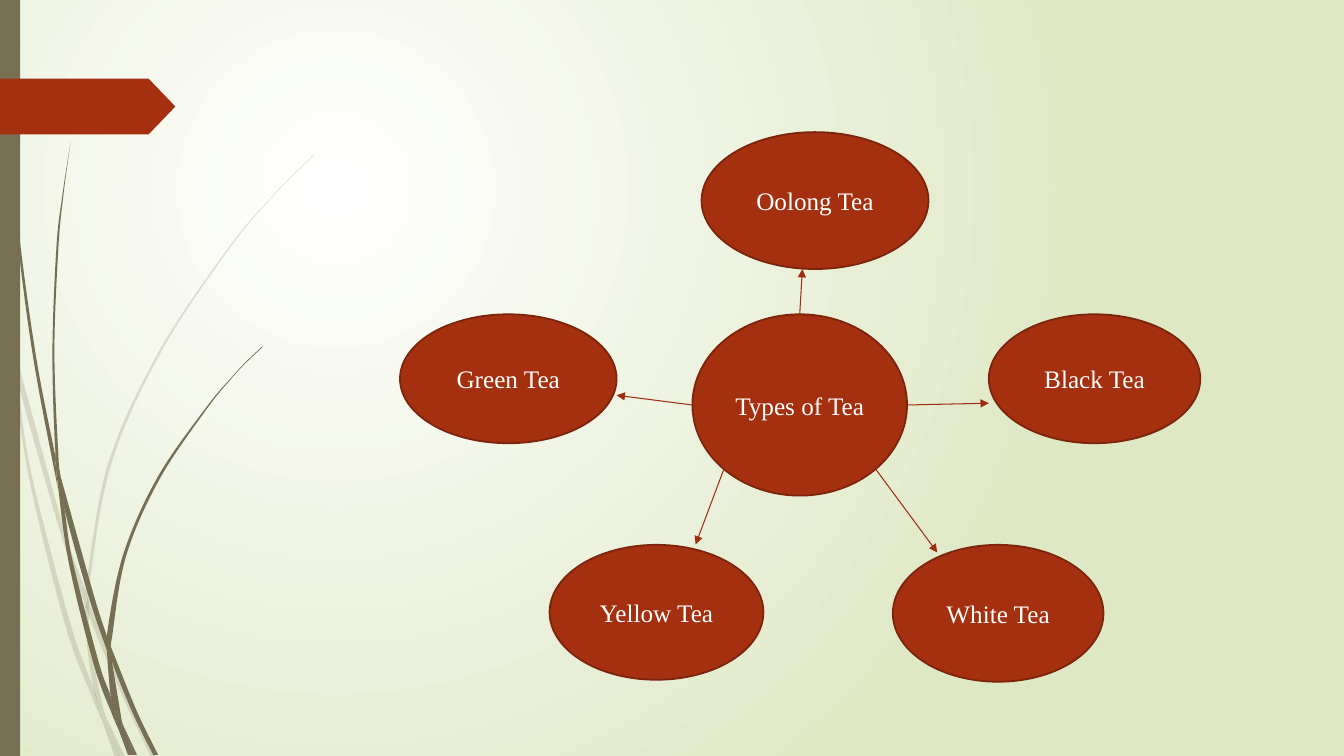
from dataclasses import dataclass
from math import cos, radians, sin

from lxml.etree import SubElement
from pptx import Presentation
from pptx.dml.color import RGBColor
from pptx.enum.shapes import MSO_CONNECTOR, MSO_SHAPE
from pptx.enum.text import MSO_ANCHOR, PP_ALIGN
from pptx.oxml import parse_xml
from pptx.oxml.ns import nsdecls, qn
from pptx.util import Cm, Pt

RUST = RGBColor(0xA5, 0x30, 0x10)
RUST_EDGE = RGBColor(0x7A, 0x24, 0x0C)
ARROW = RGBColor(0x9E, 0x2E, 0x0F)
OLIVE = RGBColor(0x76, 0x6F, 0x54)
WHITE = RGBColor(0xFF, 0xFF, 0xFF)
PALE_GREEN = RGBColor(0xDF, 0xE8, 0xC4)
GRASS_UNIT = Cm(2.54) / 100

Side = list[tuple[int, int]]


@dataclass
class Bubble:
    text: str
    left: float
    top: float
    width: float
    height: float


@dataclass
class Spoke:
    angle: int
    x: float
    y: float


@dataclass
class Blade:
    down: Side
    up: Side


HUB = Bubble("Types of Tea", 17.45, 7.92, 5.41, 4.57)
TEAS = [
    Bubble("Green Tea", 10.08, 7.92, 5.46, 3.25),
    Bubble("Oolong Tea", 17.68, 3.33, 5.72, 3.45),
    Bubble("Black Tea", 24.92, 7.92, 5.33, 3.25),
    Bubble("Yellow Tea", 13.85, 13.73, 5.39, 3.4),
    Bubble("White Tea", 22.5, 13.73, 5.31, 3.45),
]
SPOKES = [
    Spoke(180, 15.54, 9.96),
    Spoke(270, 20.22, 6.78),
    Spoke(0, 24.92, 10.16),
    Spoke(45, 23.62, 13.92),
    Spoke(135, 17.53, 13.72),
]
PALE_GRASS = [
    Blade([(0, 299), (10, 344), (11, 350)], [(11, 350), (9, 322), (0, 282)]),
    Blade([(14, 345), (17, 376), (58, 522), (84, 599)],
          [(85, 586), (62, 520), (14, 345)]),
    Blade([(88, 596), (88, 610), (123, 694), (150, 751)],
          [(155, 751), (127, 692), (92, 607), (88, 596)]),
    Blade([(105, 711), (119, 751)], [(124, 751), (105, 711)]),
    Blade([(11, 350), (28, 470), (65, 621), (92, 693), (101, 714)],
          [(99, 707), (93, 683), (70, 619), (31, 469), (17, 376), (11, 350)]),
    Blade([(84, 599), (87, 646), (93, 683), (96, 692), (105, 711)],
          [(103, 706), (91, 646), (88, 610), (88, 608), (84, 599)]),
    Blade([(312, 153), (289, 175), (268, 197), (228, 244), (158, 348),
           (107, 461), (85, 584), (85, 586), (88, 596)],
          [(88, 596), (88, 584), (110, 462), (160, 349), (229, 245),
           (268, 198), (290, 175), (312, 154)]),
    Blade([(101, 714), (114, 751)], [(119, 751), (101, 714)]),
    Blade([(85, 586), (84, 599), (88, 608)], [(88, 610), (88, 596), (85, 586)]),
    Blade([(93, 683), (99, 707), (101, 714), (119, 751)],
          [(119, 751), (105, 711), (96, 692), (93, 683)]),
]
DARK_GRASS = [
    Blade([(3, 0), (4, 48), (7, 110), (17, 233), (33, 355), (56, 477), (57, 481)],
          [(57, 481), (55, 457), (55, 453), (36, 355), (19, 232), (8, 109),
           (5, 48), (4, 0)]),
    Blade([(60, 472), (64, 505), (88, 592), (106, 645)],
          [(106, 633), (106, 631), (93, 590), (60, 472)]),
    Blade([(110, 641), (111, 656), (132, 708), (152, 749)],
          [(157, 749), (136, 706), (113, 649), (110, 641)]),
    Blade([(57, 477), (68, 557), (93, 659), (111, 708), (117, 722)],
          [(116, 717), (110, 691), (98, 657), (72, 556), (64, 505), (57, 477)]),
    Blade([(70, 141), (62, 193), (56, 245), (52, 349), (55, 449), (60, 472)],
          [(60, 472), (58, 453), (54, 349), (58, 245), (63, 193), (70, 141)]),
    Blade([(122, 719), (133, 749)], [(136, 749), (122, 719)]),
    Blade([(55, 449), (55, 453), (57, 477), (64, 505)],
          [(64, 505), (60, 472), (55, 449)]),
    Blade([(260, 344), (245, 358), (231, 373), (204, 405), (156, 474),
           (122, 551), (106, 631), (110, 641)],
          [(110, 641), (111, 633), (125, 552), (158, 476), (205, 406),
           (231, 374), (245, 359), (261, 344)]),
    Blade([(117, 722), (127, 749)], [(131, 749), (117, 722)]),
    Blade([(106, 645), (110, 691), (116, 706), (122, 719)],
          [(121, 716), (111, 656), (109, 651), (106, 645)]),
    Blade([(106, 631), (106, 645), (109, 651), (111, 656)],
          [(110, 641), (106, 631)]),
    Blade([(110, 691), (116, 717), (117, 722), (130, 749)],
          [(133, 749), (122, 719), (116, 706), (110, 691)]),
]


def set_background(slide) -> None:
    slide.element.cSld.insert(0, parse_xml(
        f'<p:bg {nsdecls("p", "a")}><p:bgPr><a:gradFill rotWithShape="1"><a:gsLst>'
        f'<a:gs pos="0"><a:srgbClr val="{WHITE}"/></a:gs>'
        f'<a:gs pos="100000"><a:srgbClr val="{PALE_GREEN}"/></a:gs></a:gsLst>'
        '<a:path path="circle">'
        '<a:fillToRect l="50000" t="50000" r="100000" b="100000"/></a:path>'
        '</a:gradFill><a:effectLst/></p:bgPr></p:bg>'))


def paint(sp, fill: RGBColor, edge: RGBColor | None = None) -> None:
    sp.shadow.inherit = False
    sp.fill.solid()
    sp.fill.fore_color.rgb = fill
    if edge is None:
        sp.line.fill.background()
    else:
        sp.line.color.rgb = edge
        sp.line.width = Pt(1.25)


def add_text(sp, text: str, *, size: float = 18, font: str = "Times New Roman",
             color: RGBColor = WHITE) -> None:
    tf = sp.text_frame
    tf.word_wrap = True
    tf.vertical_anchor = MSO_ANCHOR.MIDDLE
    p = tf.paragraphs[0]
    p.alignment = PP_ALIGN.CENTER
    r = p.add_run()
    r.text = text
    r.font.size = Pt(size)
    r.font.name = font
    r.font.color.rgb = color


def curve_side(sp, segments: list, side: Side) -> None:
    padded = [side[0], *side, side[-1]]
    for seg, a, b, c, d in zip(segments, padded, padded[1:], padded[2:], padded[3:]):
        first = [q + (r - p) / 6 for p, q, r in zip(a, b, c)]
        second = [q - (r - p) / 6 for p, q, r in zip(b, c, d)]
        seg.tag = qn("a:cubicBezTo")
        end = seg[0]
        for x, y in (first, second):
            pt = SubElement(seg, qn("a:pt"))
            pt.set("x", str(round(x * GRASS_UNIT - sp.left)))
            pt.set("y", str(round(y * GRASS_UNIT - sp.top)))
        seg.append(end)


def add_blade(slide, blade: Blade, opacity: int) -> None:
    outline = [(round(x * GRASS_UNIT), round(y * GRASS_UNIT))
               for x, y in blade.down + blade.up]
    builder = slide.shapes.build_freeform(*outline[0])
    builder.add_line_segments(outline[1:], close=True)
    sp = builder.convert_to_shape()
    paint(sp, OLIVE)
    segments = list(sp.element.spPr.iter(qn("a:lnTo")))
    curve_side(sp, segments, blade.down)
    curve_side(sp, segments[len(blade.down):], blade.up)
    if opacity < 100:
        color = sp.element.spPr.find(f"{qn('a:solidFill')}/{qn('a:srgbClr')}")
        SubElement(color, qn("a:alpha"), val=str(opacity * 1000))


def add_bubble(slide, b: Bubble) -> None:
    sp = slide.shapes.add_shape(
        MSO_SHAPE.OVAL, Cm(b.left), Cm(b.top), Cm(b.width), Cm(b.height))
    paint(sp, RUST, RUST_EDGE)
    add_text(sp, b.text)


def add_spoke(slide, spoke: Spoke) -> None:
    angle = radians(spoke.angle)
    x = HUB.left + HUB.width / 2 * (1 + cos(angle))
    y = HUB.top + HUB.height / 2 * (1 + sin(angle))
    cxn = slide.shapes.add_connector(
        MSO_CONNECTOR.STRAIGHT, Cm(x), Cm(y), Cm(spoke.x), Cm(spoke.y))
    cxn.line.color.rgb = ARROW
    cxn.line.width = Pt(0.75)
    SubElement(cxn.line._get_or_add_ln(), qn("a:tailEnd"), type="triangle")
    SubElement(cxn._element.spPr, qn("a:effectLst"))


def main() -> None:
    prs = Presentation()
    prs.slide_width, prs.slide_height = Cm(33.87), Cm(19.05)
    slide = prs.slides.add_slide(prs.slide_layouts[6])
    set_background(slide)
    for grass, opacity in ((PALE_GRASS, 20), (DARK_GRASS, 100)):
        for blade in grass:
            add_blade(slide, blade, opacity)
    rail = slide.shapes.add_shape(
        MSO_SHAPE.RECTANGLE, 0, 0, Cm(0.51), prs.slide_height)
    paint(rail, OLIVE)
    banner = slide.shapes.add_shape(
        MSO_SHAPE.PENTAGON, 0, Cm(1.98), Cm(4.42), Cm(1.41))
    banner.adjustments[0] = 0.48
    paint(banner, RUST)
    for bubble in [HUB, *TEAS]:
        add_bubble(slide, bubble)
    for spoke in SPOKES:
        add_spoke(slide, spoke)
    prs.save("out.pptx")


if __name__ == "__main__":
    main()
